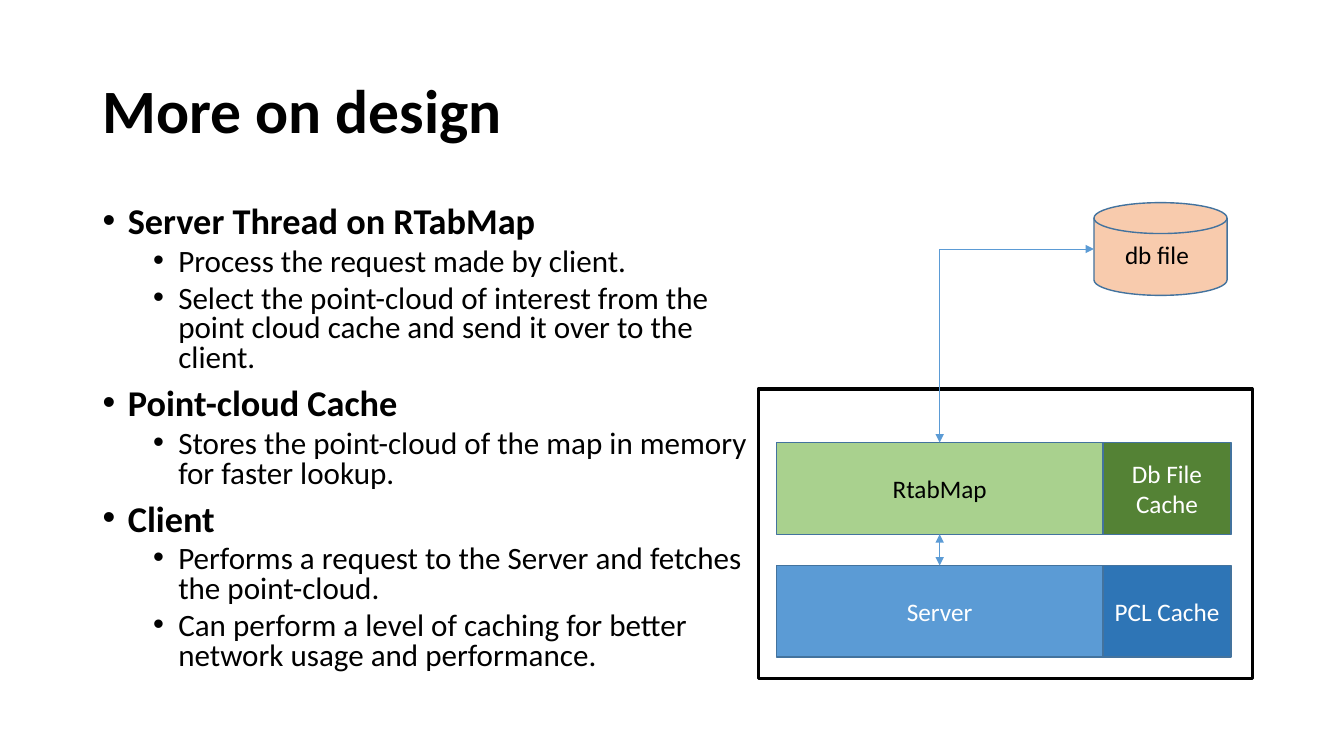
from dataclasses import dataclass

from lxml import etree
from pptx import Presentation
from pptx.dml.color import RGBColor
from pptx.enum import shapes, text
from pptx.oxml import ns
from pptx.util import Inches, Pt


@dataclass(frozen=True)
class Theme:
    """Colours, font and type sizes of the slide."""
    font: str = "Calibri"
    black: str = "000000"
    white: str = "FFFFFF"
    outline: str = "43739E"
    arrow: str = "5B9BD5"
    server: str = "5B9BD5"
    pcl_cache: str = "2E75B6"
    rtabmap: str = "A9D18E"
    file_cache: str = "548235"
    database: str = "F8CBAD"
    title: float = 44
    heading: float = 25.9
    detail: float = 22.2
    label: float = 18


T = Theme()

OUTLINE = [
    ("Server Thread on RTabMap", [
        "Process the request made by client.",
        "Select the point-cloud of interest from the point cloud cache "
        "and send it over to the client."]),
    ("Point-cloud Cache", [
        "Stores the point-cloud of the map in memory for faster lookup."]),
    ("Client", [
        "Performs a request to the Server and fetches the point-cloud.",
        "Can perform a level of caching for better network usage and performance."]),
]


def sub(parent, tag, **attrs):
    """Append a DrawingML child element."""
    return etree.SubElement(parent, ns.qn(tag), attrs)


def write(p, words, size, color=T.black, bold=False):
    """Put formatted words in a paragraph."""
    p.text = words
    for r in p.runs:
        r.font.name = T.font
        r.font.size = Pt(size)
        r.font.bold = bold
        r.font.color.rgb = RGBColor.from_string(color)


def add_text(s, x, y, w, h, anchor=text.MSO_ANCHOR.TOP):
    """Add a wrapping text box and return its text frame."""
    tf = s.shapes.add_textbox(Inches(x), Inches(y), Inches(w), Inches(h)).text_frame
    tf.word_wrap = True
    tf.vertical_anchor = anchor
    return tf


def add_bullet(p, words, level):
    """Format a paragraph as a heading bullet or a detail bullet."""
    write(p, words, T.detail if level else T.heading, bold=not level)
    p.level = level
    p.line_spacing = 0.8
    p.space_before = Pt(5 if level else 10)
    pPr = p._p.get_or_add_pPr()
    pPr.set("marL", str(Inches(0.25 + 0.5 * level)))
    pPr.set("indent", str(Inches(-0.25)))
    sub(pPr, "a:buFont", typeface="Arial")
    sub(pPr, "a:buChar", char="\u2022")


def add_outline(s, x, y, w, h):
    """Add the bulleted outline."""
    tf = add_text(s, x, y, w, h)
    items = [item for heading, details in OUTLINE
             for item in [(heading, 0)] + [(d, 1) for d in details]]
    for i, (words, level) in enumerate(items):
        add_bullet(tf.add_paragraph() if i else tf.paragraphs[0], words, level)


def add_block(s, kind, x, y, w, h, fill=None, line=T.outline, width=1):
    """Add an outlined preset shape, filled when a colour is given."""
    sp = s.shapes.add_shape(kind, Inches(x), Inches(y), Inches(w), Inches(h))
    sp.shadow.inherit = False
    if fill:
        sp.fill.solid()
        sp.fill.fore_color.rgb = RGBColor.from_string(fill)
    else:
        sp.fill.background()
    sp.line.color.rgb = RGBColor.from_string(line)
    sp.line.width = Pt(width)
    return sp


def add_label_block(s, x, y, w, h, words, fill, color):
    """Add a rectangle with a centred label."""
    tf = add_block(s, shapes.MSO_SHAPE.RECTANGLE, x, y, w, h, fill).text_frame
    tf.word_wrap = True
    tf.vertical_anchor = text.MSO_ANCHOR.MIDDLE
    p = tf.paragraphs[0]
    p.alignment = text.PP_ALIGN.CENTER
    write(p, words, T.label, color)


def add_arrow(s, x1, y1, x2, y2, bent=False):
    """Add a double-headed connector, straight or with one corner."""
    kind = shapes.MSO_CONNECTOR.ELBOW if bent else shapes.MSO_CONNECTOR.STRAIGHT
    cx = s.shapes.add_connector(kind, Inches(x1), Inches(y1), Inches(x2), Inches(y2))
    cx.line.color.rgb = RGBColor.from_string(T.arrow)
    cx.line.width = Pt(0.5)
    ln = cx.line._get_or_add_ln()
    for end in ("a:headEnd", "a:tailEnd"):
        sub(ln, end, type="triangle")
    spPr = cx._element.spPr
    sub(spPr, "a:effectLst")
    if bent:
        spPr.find(ns.qn("a:prstGeom")).set("prst", "bentConnector2")


def add_diagram(s):
    """Add the database, the two process rows and their arrows."""
    left, main_w, cache_w, row_h = 7.7, 3.24, 1.27, 0.91
    top, pitch = 4.39, 1.22
    rows = [
        (("RtabMap", T.rtabmap, T.black), ("Db File Cache", T.file_cache, T.white)),
        (("Server", T.server, T.white), ("PCL Cache", T.pcl_cache, T.white)),
    ]
    for i, (process, cache) in enumerate(rows):
        y = top + i * pitch
        add_label_block(s, left, y, main_w, row_h, *process)
        add_label_block(s, left + main_w, y, cache_w, row_h, *cache)
    add_block(s, shapes.MSO_SHAPE.RECTANGLE, 7.52, 3.86, 4.9, 2.87,
              line=T.black, width=2.25)

    drum = add_block(s, shapes.MSO_SHAPE.FLOWCHART_DIRECT_ACCESS_STORAGE,
                     11.05, 1.81, 0.92, 1.32, T.database)
    drum.rotation = 270
    middle = left + main_w / 2
    add_arrow(s, 10.85, 2.47, middle, top, bent=True)
    write(add_text(s, 11.06, 2.33, 1.41, 0.4).paragraphs[0], "db file", T.label)
    add_arrow(s, middle, top + pitch, middle, top + row_h)


def main():
    """Build and save the slide."""
    prs = Presentation()
    prs.slide_width, prs.slide_height = Inches(13.33), Inches(7.5)
    s = prs.slides.add_slide(prs.slide_layouts[6])
    title = add_text(s, 0.92, 0.4, 11.5, 1.45, text.MSO_ANCHOR.MIDDLE).paragraphs[0]
    write(title, "More on design", T.title, bold=True)
    title.line_spacing = 0.9
    add_outline(s, 0.92, 2, 6.73, 4.76)
    add_diagram(s)
    prs.save("out.pptx")


main()
